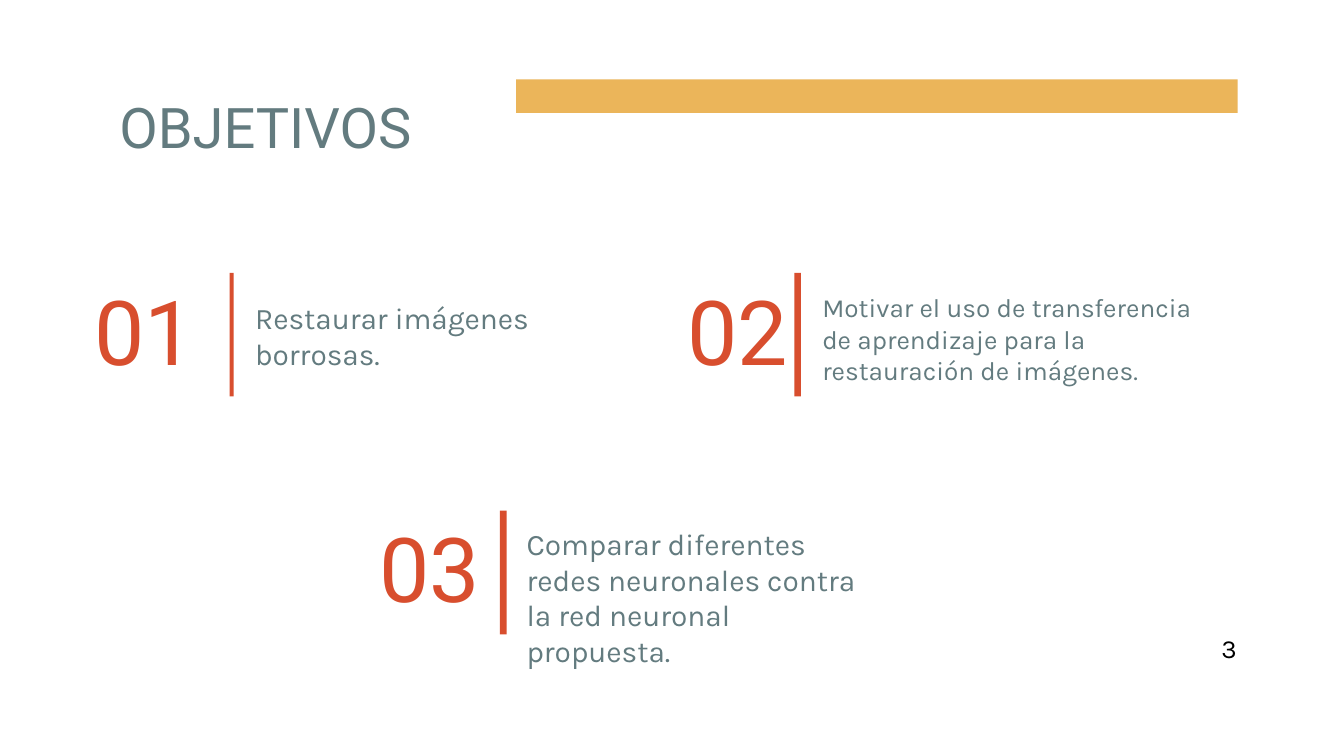
"""Build the objectives slide with three numbered goals."""
from typing import NamedTuple

import pptx
import pptx.dml.color
import pptx.enum.shapes
import pptx.enum.text
import pptx.util

Inches = pptx.util.Inches
Pt = pptx.util.Pt
RGBColor = pptx.dml.color.RGBColor
Align = pptx.enum.text.PP_ALIGN
Anchor = pptx.enum.text.MSO_ANCHOR

GOLD = RGBColor(0xEB, 0xB5, 0x5A)
SLATE = RGBColor(0x63, 0x7B, 0x7F)
RED = RGBColor(0xD8, 0x4E, 0x2E)
BLACK = RGBColor(0, 0, 0)
WIDE = 10
TALL = 0.92


class Box(NamedTuple):
    left: float
    top: float
    width: float
    height: float


class Style(NamedTuple):
    font: str
    size: int
    color: RGBColor
    align: Align = Align.LEFT
    anchor: Anchor = Anchor.TOP
    after: int = 0


class Goal(NamedTuple):
    label: str
    num: Box
    bar: Box
    text: str
    body: Box
    size: int = 16


GOALS = [
    Goal("01", Box(0.54, 2.03, 1.01, TALL), Box(1.71, 2.03, 0.03, TALL),
         "Restaurar imágenes borrosas.", Box(1.8, 2.13, 2.5, 0.67)),
    Goal("02", Box(4.74, 2.03, 1.22, TALL), Box(5.91, 2.03, 0.05, TALL),
         "Motivar el uso de transferencia de aprendizaje para la "
         "restauración de imágenes.", Box(6.02, 2.07, 2.97, 0.89), 14),
    Goal("03", Box(2.55, 3.8, 1.12, TALL), Box(3.72, 3.8, 0.05, TALL),
         "Comparar diferentes redes neuronales contra la red neuronal "
         "propuesta.", Box(3.82, 3.81, 2.76, 0.98)),
]


def assign(target: object, values: dict) -> None:
    for name, value in values.items():
        setattr(target, name, value)


def draw_bar(slide, box: Box, color: RGBColor) -> None:
    shape = slide.shapes.add_shape(
        pptx.enum.shapes.MSO_SHAPE.RECTANGLE, *map(Inches, box))
    shape.shadow.inherit = False
    shape.fill.solid()
    shape.fill.fore_color.rgb = color
    shape.line.fill.background()


def draw_text(slide, box: Box, text: str, style: Style,
              pad: float = 0.1) -> None:
    frame = slide.shapes.add_textbox(*map(Inches, box)).text_frame
    assign(frame, {"word_wrap": True, "vertical_anchor": style.anchor,
                   "margin_left": Inches(0.1), "margin_right": Inches(0.1),
                   "margin_top": Inches(pad), "margin_bottom": Inches(pad)})
    para = frame.paragraphs[0]
    assign(para, {"alignment": style.align, "space_after": Pt(style.after)})
    run = para.add_run()
    run.text = text
    assign(run.font, {"name": style.font, "size": Pt(style.size)})
    run.font.color.rgb = style.color


def draw_goal(slide, goal: Goal) -> None:
    draw_text(slide, goal.num, goal.label,
              Style("Roboto", 48, RED, Align.RIGHT, Anchor.BOTTOM))
    draw_text(slide, goal.body, goal.text,
              Style("Karla", goal.size, SLATE, after=16))
    draw_bar(slide, goal.bar, RED)


def main() -> None:
    deck = pptx.Presentation()
    assign(deck, {"slide_width": Inches(WIDE),
                  "slide_height": Inches(WIDE * 9 / 16)})
    slide = deck.slides.add_slide(deck.slide_layouts[6])
    draw_bar(slide, Box(3.84, 0.59, 5.37, 0.25), GOLD)
    draw_text(slide, Box(0.79, 0.59, 3.27, 0.63), "OBJETIVOS",
              Style("Roboto", 30, SLATE))
    for goal in GOALS:
        draw_goal(slide, goal)
    draw_text(slide, Box(8.79, 4.66, 0.71, 0.34), "3",
              Style("Karla", 14, BLACK, Align.CENTER), pad=0.05)
    deck.save("out.pptx")


if __name__ == "__main__":
    main()
